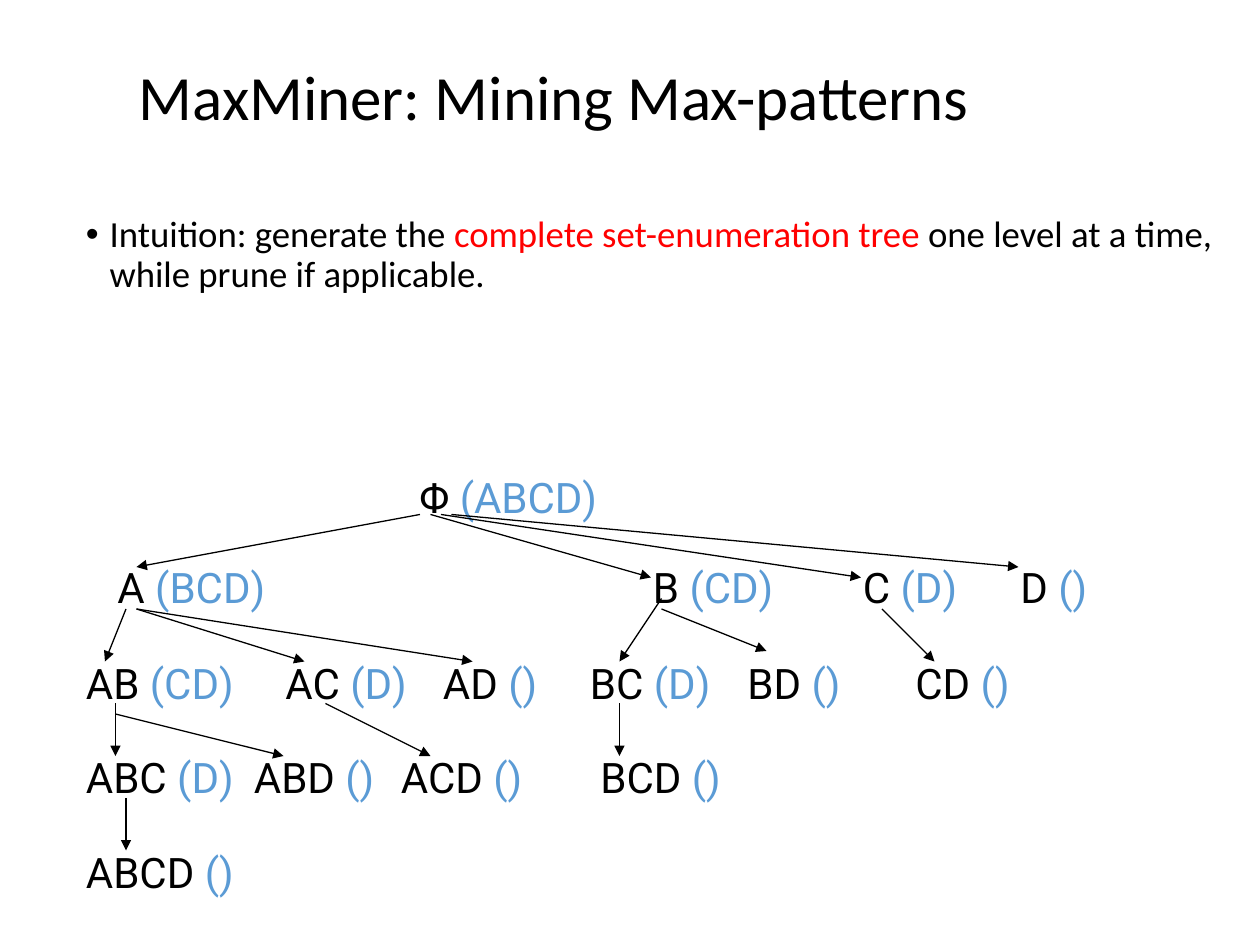
import pptx
import pptx.dml.color
import pptx.enum.shapes
import pptx.enum.text
import pptx.oxml.ns
import pptx.util

Pt = pptx.util.Pt
qn = pptx.oxml.ns.qn
BLACK, RED, BLUE = "000000", "FF0000", "5B9BD5"
NODE_WIDTHS = {4: 57, 5: 71, 6: 85, 7: 99, 8: 118}

LEVELS = [
    (0, [(190.5, "Φ", "ABCD")]),
    (51.5, [(18, "A", "BCD"), (324, "B", "CD"), (444, "C", "D"), (534, "D", "")]),
    (106, [(0, "AB", "CD"), (114, "AC", "D"), (204, "AD", ""),
           (288, "BC", "D"), (378, "BD", ""), (474, "CD", "")]),
    (160, [(0, "ABC", "D"), (96, "ABD", ""), (180, "ACD", ""), (294, "BCD", "")]),
    (214, [(0, "ABCD", "")]),
]
ARROWS = [
    (198, 28, 36, 58), (204, 28, 330, 64), (210, 28, 450, 64), (216, 28, 540, 58),
    (30, 82, 18, 112), (36, 82, 132, 112), (36, 82, 228, 112),
    (336, 76, 312, 112), (336, 82, 396, 106), (462, 82, 492, 112),
    (24, 136, 24, 166), (24, 142, 120, 166), (144, 136, 204, 166), (312, 136, 312, 166),
    (30, 190, 30, 220),
]


def rgb(value):
    return pptx.dml.color.RGBColor.from_string(value)


def add_child(parent, tag, **attrs):
    parent.append(parent.makeelement(qn(tag), attrs))


def add_runs(p, runs, font, size):
    p.alignment = pptx.enum.text.PP_ALIGN.LEFT
    for text, color in runs:
        r = p.add_run()
        r.text = text
        r.font.name = font
        r.font.size = Pt(size)
        r.font.color.rgb = rgb(color)


def add_title(s, box):
    sp = s.shapes.title
    sp.left, sp.top, sp.width, sp.height = (Pt(v) for v in box)
    tf = sp.text_frame
    tf.vertical_anchor = pptx.enum.text.MSO_ANCHOR.MIDDLE
    tf.auto_size = pptx.enum.text.MSO_AUTO_SIZE.NONE
    p = tf.paragraphs[0]
    p.line_spacing = 0.9
    add_runs(p, [("MaxMiner: Mining Max-patterns", BLACK)], "Calibri", 36)


def add_intuition(s, box):
    tf = s.shapes.add_textbox(*(Pt(v) for v in box)).text_frame
    tf.word_wrap = True
    p = tf.paragraphs[0]
    p.line_spacing = 0.9
    p.space_before = Pt(7.5)
    add_runs(p, [
        ("Intuition: generate the ", BLACK),
        ("complete set-enumeration tree ", RED),
        ("one level at a time, while prune if applicable.", BLACK),
    ], "Calibri", 21)
    pPr = p._p.get_or_add_pPr()
    pPr.set("marL", str(Pt(13.5)))
    pPr.set("indent", str(-Pt(13.5)))
    add_child(pPr, "a:buFont", typeface="Arial")
    add_child(pPr, "a:buChar", char="•")


def add_node(s, x, y, items, tail):
    width = NODE_WIDTHS[len(items) + len(tail) + 3]
    tf = s.shapes.add_textbox(Pt(x), Pt(y), Pt(width), Pt(36)).text_frame
    tf.word_wrap = False
    tf.auto_size = pptx.enum.text.MSO_AUTO_SIZE.SHAPE_TO_FIT_TEXT
    runs = [(f"{items} ", BLACK), (f"({tail})", BLUE)]
    add_runs(tf.paragraphs[0], runs, "Roboto", 24)


def add_arrow(s, x1, y1, x2, y2):
    kind = pptx.enum.shapes.MSO_CONNECTOR.STRAIGHT
    c = s.shapes.add_connector(kind, Pt(x1), Pt(y1), Pt(x2), Pt(y2))
    c.line.color.rgb = rgb(BLACK)
    c.line.width = Pt(0.75)
    spPr = c._element.spPr
    add_child(spPr.find(qn("a:ln")), "a:tailEnd", type="triangle")
    add_child(spPr, "a:effectLst")


def add_tree(s, box):
    left, top = box[:2]
    for y, nodes in LEVELS:
        for x, items, tail in nodes:
            add_node(s, left + x, top + y, items, tail)
    for x1, y1, x2, y2 in ARROWS:
        add_arrow(s, left + x1, top + y1, left + x2, top + y2)


def main():
    prs = pptx.Presentation()
    prs.slide_width, prs.slide_height = Pt(720), Pt(540)
    s = prs.slides.add_slide(prs.slide_layouts[5])
    add_title(s, (72, 36, 630, 42))
    add_intuition(s, (42, 120, 666, 408))
    add_tree(s, (42, 266, 591, 250))
    prs.save("out.pptx")


if __name__ == "__main__":
    main()
